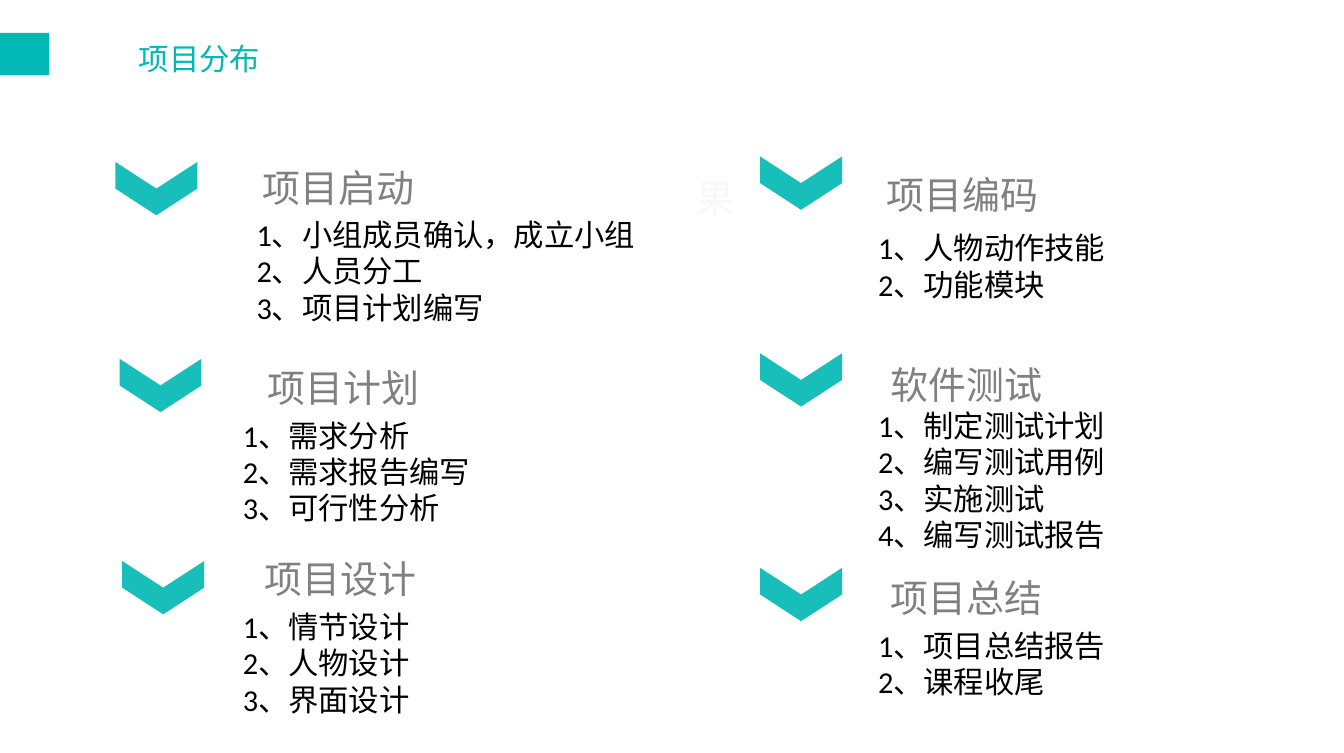
from lxml import etree
from pptx import Presentation
from pptx import util as u
from pptx.dml.color import RGBColor
from pptx.enum import shapes, text
from pptx.oxml import ns

SCALE = 9144
HUES = {"teal": "00B8B4", "mark": "18BEBA", "gray": "808080", "ink": "000000", "faint": "F8F8F8"}
HEAD = {"font": "Noto Sans CJK SC", "size": 20, "hue": "gray", "space": 1.5}
BODY = {"font": "Calibri", "size": 16, "hue": "ink"}
PAD = (7, 4, 7, 4)
STAGES = [
    ((95, 108), (185, 100), (178, 153), "项目启动", ["小组成员确认，成立小组", "人员分工", "项目计划编写"]),
    ((98, 252), (189, 246), (168, 300), "项目计划", ["需求分析", "需求报告编写", "可行性分析"]),
    ((100, 400), (187, 386), (168, 440), "项目设计", ["情节设计", "人物设计", "界面设计"]),
    ((567, 104), (642, 105), (633, 163), "项目编码", ["人物动作技能", "功能模块"]),
    ((567, 248), (645, 244), (633, 293), "软件测试", ["制定测试计划", "编写测试用例", "实施测试", "编写测试报告"]),
    ((567, 405), (645, 400), (633, 454), "项目总结", ["项目总结报告", "课程收尾"]),
]


def px(n):
    """Turn px into EMU."""
    return u.Emu(n * SCALE)


def write(frame, lines, font, size, hue, space=1.0, align="LEFT", pad=(10, 5, 10, 5)):
    """Fill a text frame with formatted lines."""
    frame.word_wrap = True
    frame.auto_size = text.MSO_AUTO_SIZE.NONE
    frame.vertical_anchor = text.MSO_ANCHOR.TOP
    frame.margin_left, frame.margin_top, frame.margin_right, frame.margin_bottom = map(px, pad)
    for i, line in enumerate(lines):
        para = frame.add_paragraph() if i else frame.paragraphs[0]
        para.alignment = text.PP_ALIGN[align]
        para.line_spacing = space
        para.space_before = u.Pt(0)
        run = para.add_run()
        run.text = line
        run.font.name = font
        run.font.size = u.Pt(size)
        run.font.color.rgb = RGBColor.from_string(HUES[hue])
        east = etree.SubElement(run.font._element, ns.qn("a:ea"))
        east.set("typeface", font)


class Deck:
    """Holds the style and the current slide."""

    def __init__(self, wide, high):
        """Start a deck with one title-only slide."""
        self.file = Presentation()
        self.file.slide_width, self.file.slide_height = px(wide), px(high)
        self.slide = self.file.slides.add_slide(self.file.slide_layouts[5])

    def title(self, box, line, **form):
        """Place and format the title."""
        head = self.slide.shapes.title
        head.left, head.top, head.width, head.height = map(px, box)
        write(head.text_frame, [line], **form)

    def label(self, box, lines, **form):
        """Add a text box."""
        area = self.slide.shapes.add_textbox(*map(px, box))
        write(area.text_frame, lines, **form)

    def shape(self, kind, box, hue, turn=0):
        """Add a plain filled shape."""
        item = self.slide.shapes.add_shape(shapes.MSO_SHAPE[kind], *map(px, box))
        item.shadow.inherit = False
        item.fill.solid()
        item.fill.fore_color.rgb = RGBColor.from_string(HUES[hue])
        item.line.fill.background()
        item.rotation = turn

    def stage(self, mark, head, body, name, tasks):
        """Add a mark, a heading and its numbered tasks."""
        self.shape("CHEVRON", (*mark, 39, 60), "mark", turn=90)
        self.label((*head, 324, 52), [name], pad=PAD, **HEAD)
        lines = [f"{i}、{task}" for i, task in enumerate(tasks, 1)]
        self.label((*body, 329, 10 + 27 * len(lines)), lines, **BODY)


def main():
    """Build and save the slide."""
    deck = Deck(984, 551)
    deck.shape("RECTANGLE", (0, 24, 36, 31), "teal")
    deck.title((20, 24, 252, 47), "项目分布", font="Noto Sans CJK SC", size=16,
               hue="teal", space=1.2, align="CENTER", pad=(0, 0, 0, 0))
    deck.label((503, 107, 50, 52), ["果"], pad=PAD, **HEAD | {"hue": "faint"})
    for stage in STAGES:
        deck.stage(*stage)
    deck.file.save("out.pptx")


if __name__ == "__main__":
    main()
